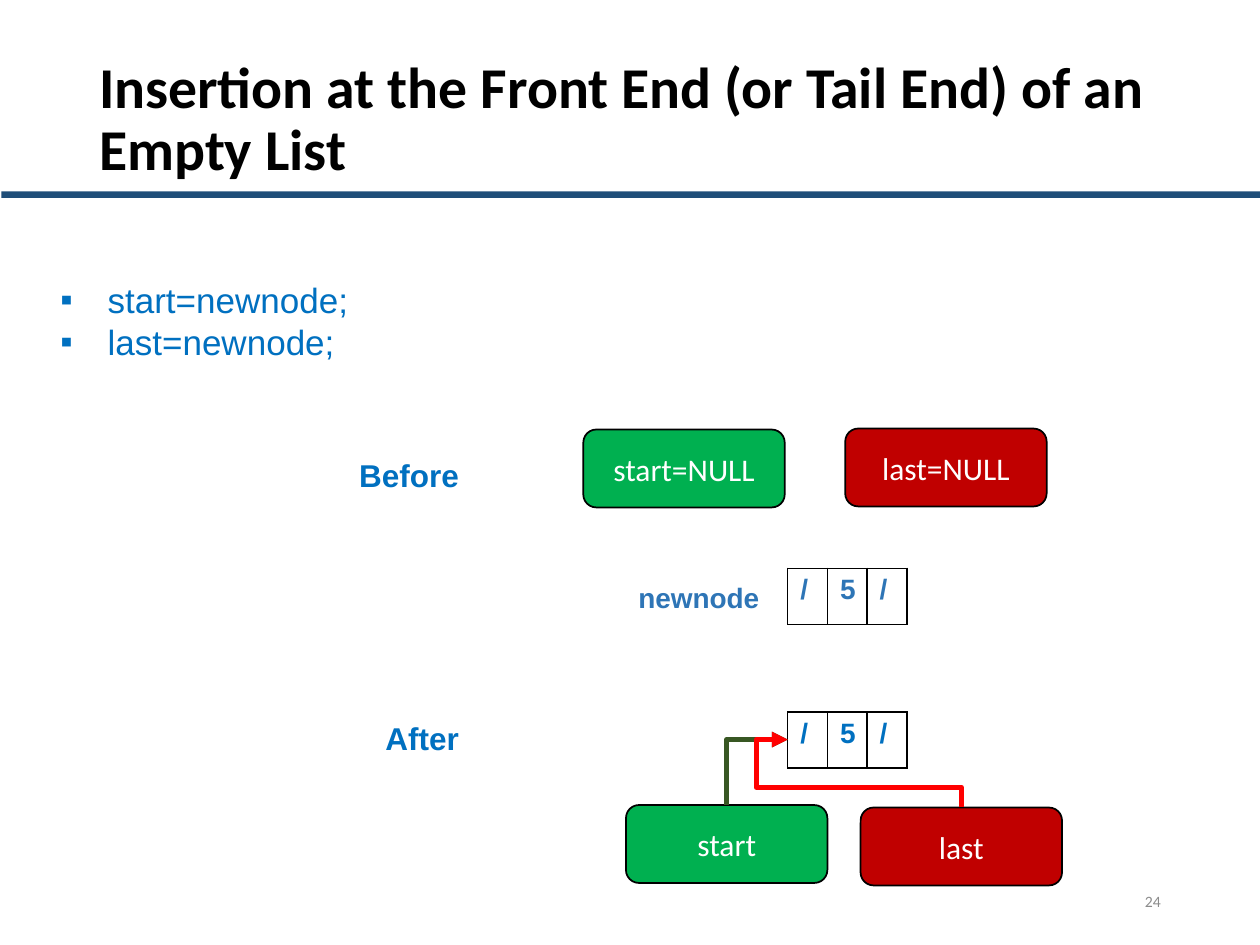
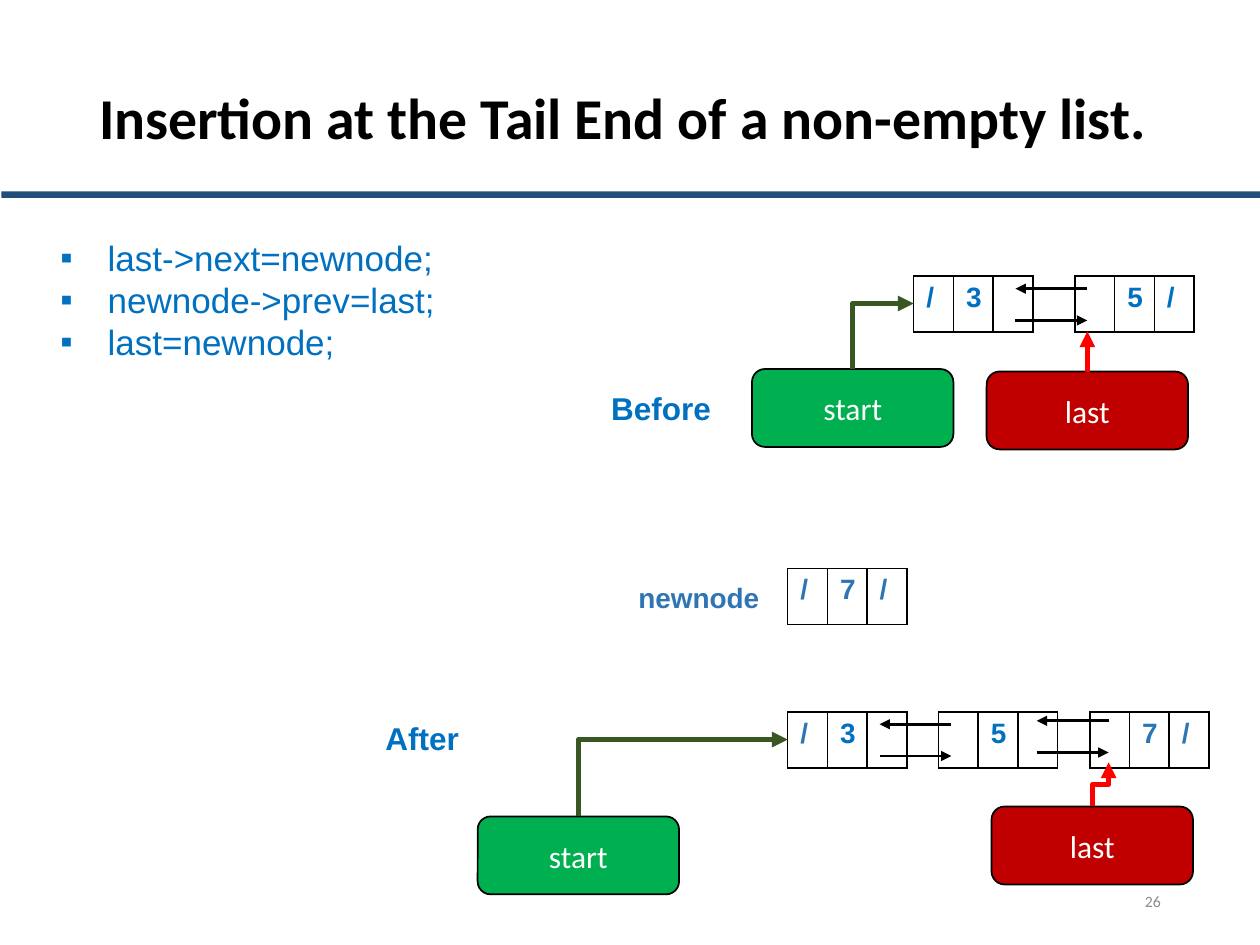
import lxml.etree
import pptx
import pptx.dml.color
import pptx.enum.shapes
import pptx.enum.text
import pptx.oxml.ns
import pptx.util

Cm = pptx.util.Cm
Pt = pptx.util.Pt
qn = pptx.oxml.ns.qn
SubElement = lxml.etree.SubElement
ALIGN = pptx.enum.text.PP_ALIGN
ANCHOR = pptx.enum.text.MSO_ANCHOR
SHAPE = pptx.enum.shapes.MSO_SHAPE
CONNECTOR = pptx.enum.shapes.MSO_CONNECTOR

BLACK, WHITE, GREY, NAVY = "000000", "FFFFFF", "8C8C8C", "1F4E79"
BLUE, SOFT_BLUE = "0070C0", "2E75B6"
GREEN, DARK_GREEN, CRIMSON, RED = "00B050", "385723", "C00000", "FF0000"

CELL_WIDTH, NODE_HEIGHT = 0.8, 1.13
POINTER_WIDTH, POINTER_HEIGHT = 4.06, 1.57
LINK_LENGTH, LINK_GAP = 1.45, 0.64
BULLET_INDENT = Cm(0.95)

# nodes: left, top, three cell texts, colour of the slashes, colour of the value
# pointers: text, fill, left, top, then target, connector preset, adjustments, line colour
# links: left end and top of each next/prev arrow pair
lessons = [
    {
        "title": "Insertion at the Front End (or Tail End) of an Empty List",
        "number": "24",
        "code": ("start=newnode;\nlast=newnode;", 5.49, 6.35),
        "before": (6.99, 9.07),
        "nodes": [
            (15.88, 14.35, "/5/", BLUE, BLUE),
            (15.88, 11.46, "/5/", SOFT_BLUE, SOFT_BLUE),
        ],
        "pointers": [
            ("start=NULL", GREEN, 11.76, 8.66, None),
            ("last=NULL", CRIMSON, 17.04, 8.64, None),
            ("start", GREEN, 12.62, 16.23, ((15.88, 14.91), "bentConnector2", [], DARK_GREEN)),
            ("last", CRIMSON, 17.35, 16.28,
             ((15.88, 14.91), "bentConnector4", [29700, 118100], RED)),
        ],
        "links": [],
    },
    {
        "title": "Insertion at the Tail End of a non-empty list.",
        "number": "26",
        "code": ("last->next=newnode;\nnewnode->prev=last;\nlast=newnode;", 4.65, 8.38),
        "before": (12.07, 7.72),
        "nodes": [
            (15.88, 14.35, "/3 ", SOFT_BLUE, BLUE),
            (15.88, 11.46, "/7/", SOFT_BLUE, SOFT_BLUE),
            (18.92, 14.35, " 5 ", BLUE, BLUE),
            (18.42, 5.56, "/3 ", BLUE, BLUE),
            (21.67, 5.56, " 5/", BLUE, BLUE),
            (21.97, 14.35, " 7/", SOFT_BLUE, SOFT_BLUE),
        ],
        "pointers": [
            ("start", GREEN, 9.63, 16.46, ((15.88, 14.91), "bentConnector2", [], DARK_GREEN)),
            ("last", CRIMSON, 19.99, 16.26, ((22.35, 15.37), "bentConnector3", [50000], RED)),
            ("start", GREEN, 15.16, 7.44, ((18.42, 6.12), "bentConnector2", [], DARK_GREEN)),
            ("last", CRIMSON, 19.89, 7.49, ((21.92, 6.68), "line", [], RED)),
        ],
        "links": [(17.73, 14.6), (20.47, 5.82), (20.9, 14.53)],
    },
]


def colour(hex_value):
    return pptx.dml.color.RGBColor.from_string(hex_value)


def write(frame, text, size=18, hue=BLUE, font="Arial", bold=False, align=ALIGN.LEFT,
          anchor=ANCHOR.TOP, wrap=True, spacing=None, bullet=None):
    """Fill a text frame with one paragraph for each line of text."""
    frame.word_wrap = wrap
    frame.vertical_anchor = anchor
    for index, line in enumerate(text.split("\n")):
        paragraph = frame.add_paragraph() if index else frame.paragraphs[0]
        paragraph.alignment = align
        if spacing:
            paragraph.line_spacing = spacing
        if bullet:
            properties = paragraph._p.get_or_add_pPr()
            properties.set("marL", str(BULLET_INDENT))
            properties.set("indent", str(-BULLET_INDENT))
            SubElement(properties, qn("a:buFont"), typeface="Arial")
            SubElement(properties, qn("a:buChar"), char=bullet)
        run = paragraph.add_run()
        run.text = line
        run.font.name = font
        run.font.size = Pt(size)
        run.font.bold = bold
        run.font.color.rgb = colour(hue)


deck = pptx.Presentation()
deck.slide_width, deck.slide_height = Cm(25.4), Cm(19.05)

for lesson in lessons:
    slide = deck.slides.add_slide(deck.slide_layouts[6])
    shapes = slide.shapes

    band = shapes.add_shape(SHAPE.RECTANGLE, Cm(0.03), Cm(3.86), Cm(25.37), Cm(0.13))
    band.shadow.inherit = False
    band.fill.solid()
    band.fill.fore_color.rgb = colour(NAVY)
    band.line.fill.background()

    code, code_top, code_width = lesson["code"]
    for text, left, top, width, height, style in [
        (lesson["title"], 1.75, 1.02, 21.9, 2.84,
         dict(size=33, hue=BLACK, font="Calibri", bold=True, anchor=ANCHOR.MIDDLE, spacing=0.9)),
        (lesson["number"], 17.93, 17.65, 5.72, 1.02,
         dict(size=9, hue=GREY, font="Calibri", align=ALIGN.RIGHT, anchor=ANCHOR.MIDDLE)),
        (code, 0.97, code_top, code_width, 2.0, dict(size=20, wrap=False, bullet="▪")),
        ("Before", *lesson["before"], 2.54, 1.02, dict(bold=True, wrap=False)),
        ("After", 7.52, 14.38, 2.01, 1.02, dict(bold=True, wrap=False)),
        ("newnode", 12.62, 11.58, 2.97, 0.94,
         dict(size=16, hue=SOFT_BLUE, bold=True, wrap=False)),
    ]:
        label = shapes.add_textbox(Cm(left), Cm(top), Cm(width), Cm(height))
        write(label.text_frame, text, **style)

    for left, top, fields, slash_hue, value_hue in lesson["nodes"]:
        node = shapes.add_table(1, 3, Cm(left), Cm(top), Cm(3 * CELL_WIDTH), Cm(NODE_HEIGHT)).table
        node.first_row = node.horz_banding = False
        for column, field in enumerate(fields):
            node.columns[column].width = Cm(CELL_WIDTH)
            cell = node.cell(0, column)
            for side in ("lnL", "lnR", "lnT", "lnB"):
                border = SubElement(cell._tc.get_or_add_tcPr(), qn("a:" + side), w=str(Pt(1)))
                SubElement(SubElement(border, qn("a:solidFill")), qn("a:srgbClr"), val=BLACK)
            cell.fill.background()
            if field != " ":
                is_value = column == 1
                write(cell.text_frame, field, size=16, bold=True,
                      hue=value_hue if is_value else slash_hue,
                      align=ALIGN.CENTER if is_value else ALIGN.LEFT)

    arrows = []
    for text, fill, left, top, target in lesson["pointers"]:
        pointer = shapes.add_shape(SHAPE.ROUNDED_RECTANGLE, Cm(left), Cm(top),
                                   Cm(POINTER_WIDTH), Cm(POINTER_HEIGHT))
        pointer.shadow.inherit = False
        pointer.fill.solid()
        pointer.fill.fore_color.rgb = colour(fill)
        pointer.line.color.rgb = colour(BLACK)
        pointer.line.width = Pt(1)
        write(pointer.text_frame, text, hue=WHITE, font="Calibri",
              align=ALIGN.CENTER, anchor=ANCHOR.MIDDLE)
        if target:
            arrows.append(((left + POINTER_WIDTH / 2, top), *target, 3))

    for left, top in lesson["links"]:
        right, bottom = left + LINK_LENGTH, top + LINK_GAP
        arrows.append(((right, top), (left, top), "line", [], BLACK, 1.5))
        arrows.append(((left, bottom), (right, bottom), "line", [], BLACK, 1.5))

    for (x1, y1), (x2, y2), preset, adjustments, hue, weight in arrows:
        bent = preset != "line"
        toward_right = x2 > x1
        if bent:
            # A bent arrow leaves upwards, so its box is turned a quarter about its centre
            centre_x, centre_y = (x1 + x2) / 2, (y1 + y2) / 2
            half_width, half_height = abs(y2 - y1) / 2, abs(x2 - x1) / 2
            if not toward_right:
                half_width = -half_width
            x1, x2 = centre_x + half_width, centre_x - half_width
            y1, y2 = centre_y + half_height, centre_y - half_height
        arrow = shapes.add_connector(CONNECTOR.ELBOW if bent else CONNECTOR.STRAIGHT,
                                     Cm(x1), Cm(y1), Cm(x2), Cm(y2))
        arrow.line.color.rgb = colour(hue)
        arrow.line.width = Pt(weight)
        properties = arrow._element.spPr
        SubElement(properties.find(qn("a:ln")), qn("a:tailEnd"), type="triangle")
        SubElement(properties, qn("a:effectLst"))
        if bent:
            arrow.rotation = 0 if not hasattr(arrow, "rotation") else arrow.rotation
            properties.find(qn("a:xfrm")).set("rot", str((90 if toward_right else 270) * 60000))
            geometry = properties.find(qn("a:prstGeom"))
            geometry.set("prst", preset)
            for index, amount in enumerate(adjustments, 1):
                SubElement(geometry.find(qn("a:avLst")), qn("a:gd"),
                           name=f"adj{index}", fmla=f"val {amount}")

deck.save("out.pptx")
